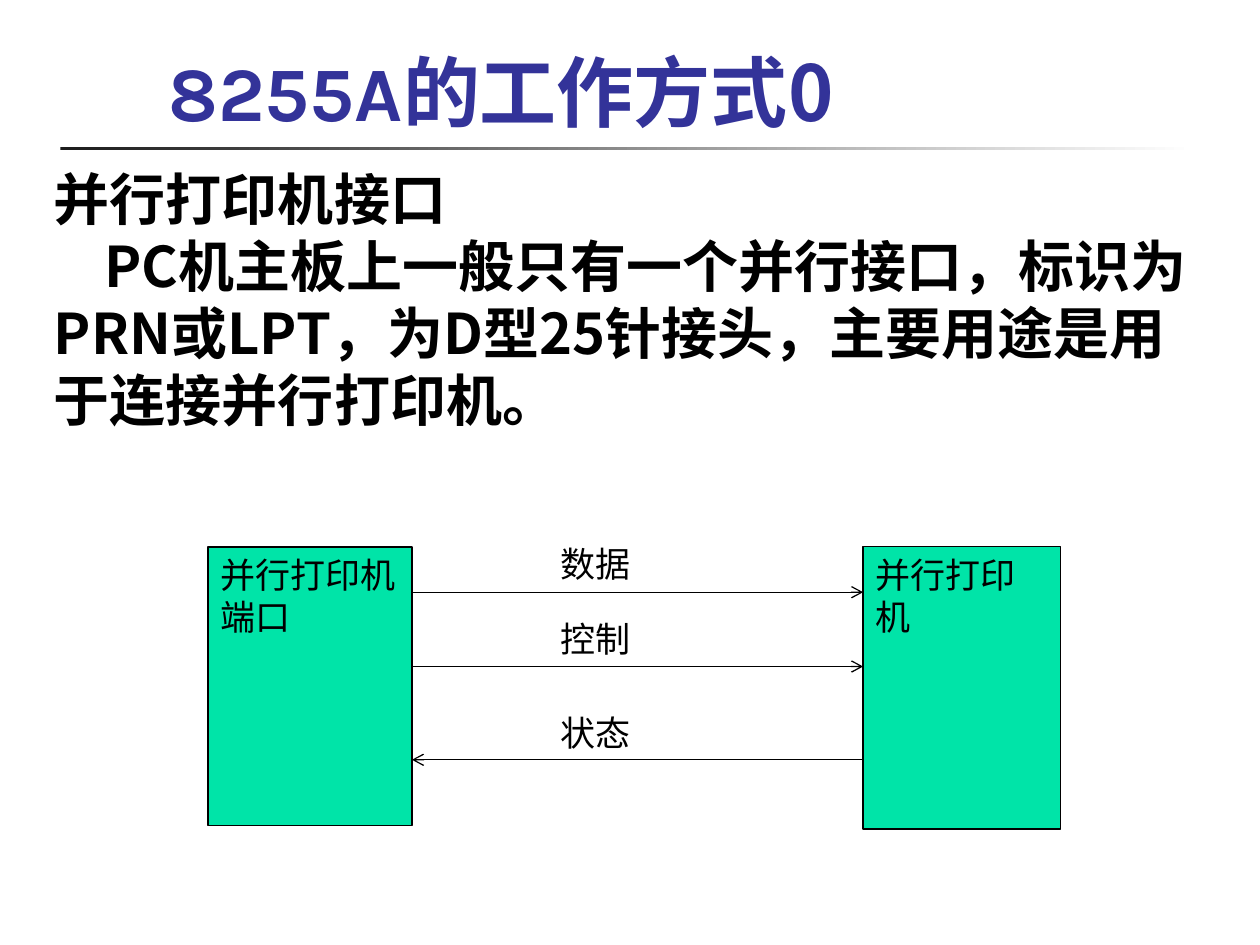
from pptx import Presentation
from pptx.util import Inches, Pt
from pptx.dml.color import RGBColor
from pptx.enum.shapes import MSO_SHAPE, MSO_CONNECTOR
from pptx.enum.text import MSO_ANCHOR, MSO_AUTO_SIZE, PP_ALIGN
from pptx.oxml.ns import qn
from lxml.etree import SubElement

HAN = "Noto Sans CJK SC"
hue = RGBColor.from_string

deck = Presentation()
deck.slide_width, deck.slide_height = Inches(10), Inches(7.5)
page = deck.slides.add_slide(deck.slide_layouts[6])
shapes = page.shapes


# Grid of 100 columns by 75 rows
def grid(*cells):
    col, row = deck.slide_width / 100, deck.slide_height / 75
    return [round(n * (row if i % 2 else col)) for i, n in enumerate(cells)]


def style(run, size, face, tint="000000", bold=False):
    font = run.font
    font.size, font.name, font.bold = Pt(size), face, bold
    font.color.rgb = hue(tint)
    SubElement(run._r.get_or_add_rPr(), qn("a:ea")).set("typeface", HAN)


# Rule under the title, fading to white
rule = shapes.add_shape(MSO_SHAPE.RECTANGLE, *grid(4.8, 11.65, 90, 0.3))
rule.shadow.inherit = False
rule.line.fill.background()
rule.fill.gradient()
rule.fill.gradient_angle = 0
for stop, tint in zip(rule.fill.gradient_stops, ("1C1C1C", "FFFFFF")):
    stop.color.rgb = hue(tint)

# Title and body text
texts = [
    ((12.4, 2.2, 75.3, 10), MSO_ANCHOR.MIDDLE, 44, "333399",
     [[("8255A", "Karla"), ("的工作方式0", HAN)]]),
    ((3.3, 12.55, 93.4, 25.7), MSO_ANCHOR.TOP, 32, "000000",
     [[("并行打印机接口", HAN)],
      [("PC机主板上一般只有一个并行接口，标识为PRN或LPT，"
        "为D型25针接头，主要用途是用于连接并行打印机", HAN), ("。", "Karla")]]),
]
for cells, anchor, size, tint, paras in texts:
    frame = shapes.add_textbox(*grid(*cells)).text_frame
    frame.word_wrap = True
    frame.vertical_anchor = anchor
    for i, parts in enumerate(paras):
        para = frame.add_paragraph() if i else frame.paragraphs[0]
        if i:  # first-line indent
            para._p.get_or_add_pPr().set("indent", str(grid(4)[0]))
        for words, face in parts:
            run = para.add_run()
            run.text = words
            style(run, size, face, tint, True)

# Port and printer boxes
left, right = 32.7, 68.5
boxes = [("并行打印机端口", 16.5, left - 16.5, 22.1),
         ("并行打印机", right, 15.7, 22.4)]
for words, x, wide, high in boxes:
    box = shapes.add_shape(MSO_SHAPE.RECTANGLE, *grid(x, 43.4, wide, high))
    box.shadow.inherit = False
    box.fill.solid()
    box.fill.fore_color.rgb = hue("00E4A8")
    box.line.color.rgb = hue("000000")
    box.line.width = Pt(0.75)
    frame = box.text_frame
    frame.text = words
    frame.word_wrap = True
    frame.vertical_anchor = MSO_ANCHOR.TOP
    frame.paragraphs[0].alignment = PP_ALIGN.LEFT
    style(frame.paragraphs[0].runs[0], 20, "Arial")

# Signal arrows with their labels
signals = [("数据", 42.6, 47, left, right),
           ("控制", 48.5, 52.9, left, right),
           ("状态", 56, 60.3, right, left)]
for words, top, y, start, end in signals:
    wire = shapes.add_connector(MSO_CONNECTOR.STRAIGHT, *grid(start, y, end, y))
    wire.line.color.rgb = hue("000000")
    wire.line.width = Pt(0.75)
    SubElement(wire.line._get_or_add_ln(), qn("a:tailEnd")).set("type", "arrow")
    SubElement(wire._element.spPr, qn("a:effectLst"))
    frame = shapes.add_textbox(*grid(43.5, top, 7.7, 4.4)).text_frame
    frame.word_wrap = False
    frame.auto_size = MSO_AUTO_SIZE.SHAPE_TO_FIT_TEXT
    frame.text = words
    style(frame.paragraphs[0].runs[0], 20, "Arial")

deck.save("out.pptx")
